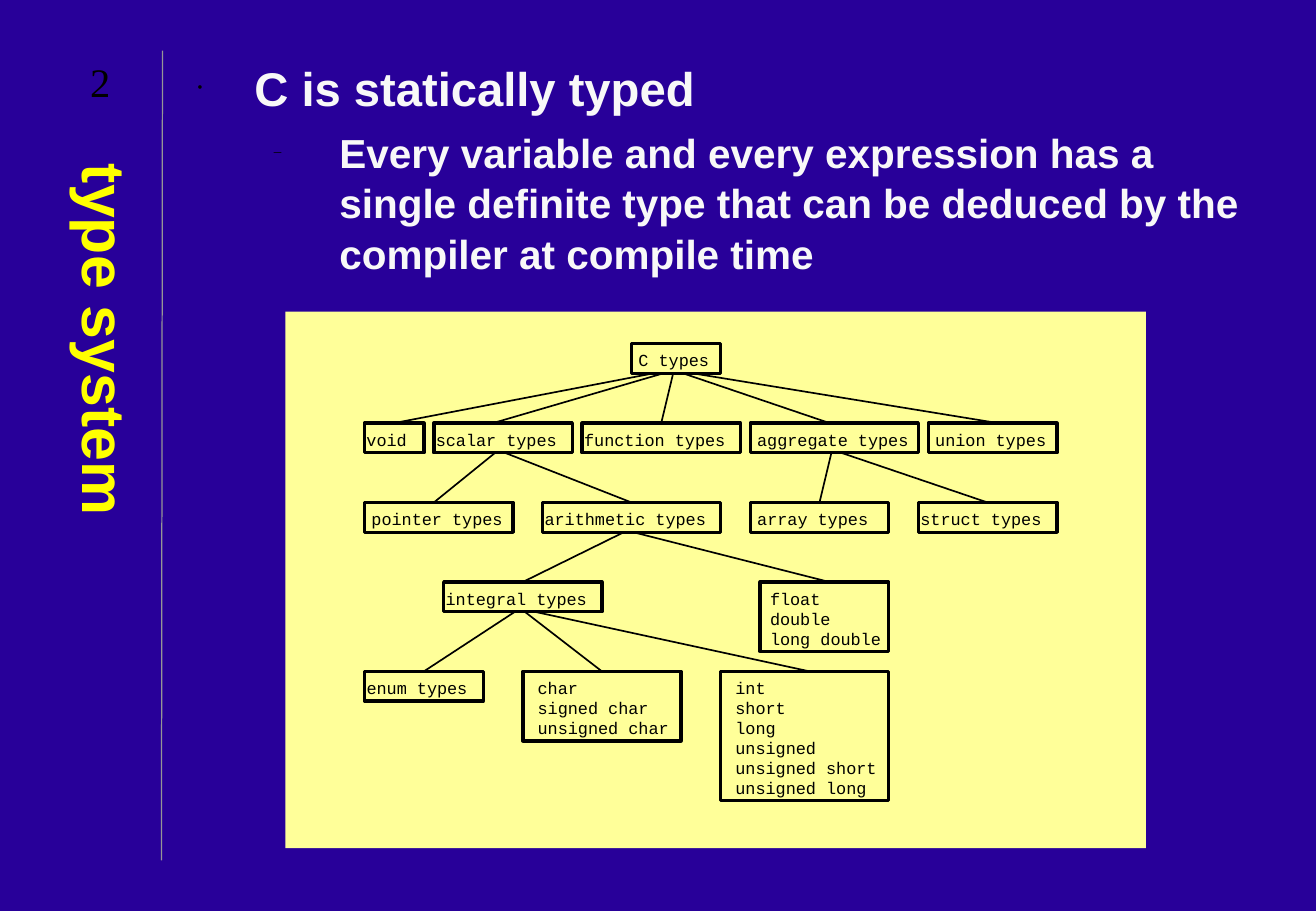
import dataclasses

import lxml.etree
import pptx
import pptx.dml.color
import pptx.enum.shapes
import pptx.enum.text
import pptx.oxml.ns
import pptx.util

SHAPE = pptx.enum.shapes.MSO_SHAPE
ANCHOR = pptx.enum.text.MSO_ANCHOR
ALIGN = pptx.enum.text.PP_ALIGN


@dataclasses.dataclass(frozen=True)
class Theme:
    background: str = "280099"
    panel: str = "FFFF99"
    ink: str = "000000"
    rule: str = "969696"
    title: dict = dataclasses.field(default_factory=lambda: dict(
        name="Arial", size=36, bold=True, color="FFFF00"))
    point: dict = dataclasses.field(default_factory=lambda: dict(
        name="Arial", size=28, bold=True, color="F8F8F8"))
    detail: dict = dataclasses.field(default_factory=lambda: dict(
        name="Arial", size=24, bold=True, color="F8F8F8"))
    code: dict = dataclasses.field(default_factory=lambda: dict(
        name="Courier New", size=10, bold=False, color="000000"))
    number: dict = dataclasses.field(default_factory=lambda: dict(
        name="Times New Roman", size=24, bold=False, color="000000"))


@dataclasses.dataclass(frozen=True)
class Box:
    left: float
    top: float
    width: float
    height: float
    columns: int = 1
    rows: int = 1

    def point(self, column, row):
        return (round(self.left + self.width * column / self.columns),
                round(self.top + self.height * row / self.rows))

    def area(self, column, row, wide, high, columns=1, rows=1):
        left, top = self.point(column, row)
        right, bottom = self.point(column + wide, row + high)
        return Box(left, top, right - left, bottom - top, columns, rows)

    def frame(self):
        return self.left, self.top, self.width, self.height


THEME = Theme()
SLIDE_WIDTH, SLIDE_HEIGHT = pptx.util.Inches(10.84), pptx.util.Inches(7.5)

TITLE = "type system"
POINTS = [
    dict(text="C is statically typed", style=THEME.point, level=0, before=7,
         margin=0.58, indent=-0.47, bullet="•", share=32),
    dict(text="Every variable and every expression has a single definite type "
              "that can be deduced by the compiler at compile time",
         style=THEME.detail, level=1, before=6,
         margin=1.28, indent=-0.54, bullet="–", share=37),
]

LEVEL_ROWS = [3.2, 11.2, 19.2, 27.2, 36.2]
LABEL_ROWS = 2
TYPES = {
    "C types": (0, 35, 9, 0.7, 0),
    "void": (1, 8, 6, 0.2, 11),
    "scalar types": (1, 15, 14, 0.2, 21),
    "function types": (1, 30, 16, 0.2, 38),
    "aggregate types": (1, 47, 17, 0.7, 55),
    "union types": (1, 65, 13, 0.7, 72),
    "pointer types": (2, 8, 15, 0.7, 15),
    "arithmetic types": (2, 26, 18, 0.2, 35),
    "array types": (2, 47, 14, 0.7, 54),
    "struct types": (2, 64, 14, 0.2, 71),
    "integral types": (3, 16, 16, 0.2, 24),
    "float\ndouble\nlong double": (3, 48, 13, 1, 55),
    "enum types": (4, 8, 12, 0.2, 14),
    "char\nsigned char\nunsigned char": (4, 24, 16, 1.5, 32),
    "int\nshort\nlong\nunsigned\nunsigned short\nunsigned long":
        (4, 44, 17, 1.5, 53),
}
FANS = {
    "C types": (37.2, list(TYPES)[1:6]),
    "scalar types": (21.2, list(TYPES)[6:8]),
    "aggregate types": (55.2, list(TYPES)[8:10]),
    "arithmetic types": (34.2, list(TYPES)[10:12]),
    "integral types": (23.2, list(TYPES)[12:]),
}


def rgb(value):
    return pptx.dml.color.RGBColor.from_string(value)


def set_all(target, values):
    for name, value in values.items():
        setattr(target, name, value)


def add_span(para, text, style):
    span = para.add_run()
    span.text = text
    set_all(span.font, dict(name=style["name"], bold=style["bold"],
                            size=pptx.util.Pt(style["size"])))
    span.font.color.rgb = rgb(style["color"])


def set_frame(frame, anchor, insets):
    sides = ("margin_left", "margin_top", "margin_right", "margin_bottom")
    set_all(frame, dict(zip(sides, insets), word_wrap=True, vertical_anchor=anchor))


def add_text(page, box, anchor, insets):
    frame = page.shapes.add_textbox(*box.frame()).text_frame
    set_frame(frame, anchor, [pptx.util.Inches(inset) for inset in insets])
    return frame


def add_line(page, start, end, color, weight):
    line = page.shapes.add_connector(
        pptx.enum.shapes.MSO_CONNECTOR.STRAIGHT, *start, *end)
    line.line.color.rgb = rgb(color)
    line.line.width = pptx.util.Pt(weight)
    lxml.etree.SubElement(line._element.spPr, pptx.oxml.ns.qn("a:effectLst"))


def add_bullet(para, point):
    properties = para._p.get_or_add_pPr()
    properties.set("marL", str(pptx.util.Inches(point["margin"])))
    properties.set("indent", str(pptx.util.Inches(point["indent"])))
    qn = pptx.oxml.ns.qn
    color = lxml.etree.SubElement(properties, qn("a:buClr"))
    lxml.etree.SubElement(color, qn("a:srgbClr"), val=THEME.ink)
    lxml.etree.SubElement(properties, qn("a:buSzPct"), val=str(point["share"] * 1000))
    lxml.etree.SubElement(properties, qn("a:buFont"), typeface=THEME.number["name"])
    lxml.etree.SubElement(properties, qn("a:buChar"), char=point["bullet"])


def draw_title(page, box):
    frame = add_text(page, box, ANCHOR.TOP, (0.05, 0.1, 0.05, 0.1))
    frame._txBody.bodyPr.set("vert", "eaVert")
    para = frame.paragraphs[0]
    set_all(para, dict(alignment=ALIGN.CENTER, line_spacing=1.04))
    add_span(para, TITLE, THEME.title)


def draw_number(page, box):
    frame = add_text(page, box, ANCHOR.MIDDLE, (0.1, 0.05, 0.1, 0.05))
    frame.paragraphs[0].alignment = ALIGN.CENTER
    add_span(frame.paragraphs[0], "2", THEME.number)


def draw_points(page, box):
    frame = add_text(page, box, ANCHOR.TOP, (0.1, 0.05, 0.1, 0.05))
    for index, point in enumerate(POINTS):
        para = frame.add_paragraph() if index else frame.paragraphs[0]
        set_all(para, dict(level=point["level"], line_spacing=1.04,
                           space_before=pptx.util.Pt(point["before"])))
        add_bullet(para, point)
        add_span(para, point["text"], point["style"])


def draw_type(page, panel, label):
    level, column, wide, indent, _ = TYPES[label]
    lines = label.split("\n")
    box = panel.area(column, LEVEL_ROWS[level], wide, LABEL_ROWS * len(lines) + 1)
    shape = page.shapes.add_shape(SHAPE.RECTANGLE, *box.frame())
    shape.shadow.inherit = False
    shape.fill.background()
    shape.line.color.rgb = rgb(THEME.ink)
    shape.line.width = pptx.util.Pt(2)
    cell_width, cell_height = panel.area(0, 0, 1, 1).frame()[2:]
    frame = shape.text_frame
    set_frame(frame, ANCHOR.TOP, (round(cell_width * indent), round(cell_height * 0.7), 0, 0))
    frame.word_wrap = False
    for index, line in enumerate(lines):
        para = frame.add_paragraph() if index else frame.paragraphs[0]
        set_all(para, dict(alignment=ALIGN.LEFT,
                           line_spacing=pptx.util.Emu(cell_height * LABEL_ROWS)))
        add_span(para, line, THEME.code)


def draw_tree(page, panel):
    back = page.shapes.add_shape(SHAPE.RECTANGLE, *panel.frame())
    back.shadow.inherit = False
    back.fill.solid()
    back.fill.fore_color.rgb = rgb(THEME.panel)
    back.line.fill.background()
    for label in TYPES:
        draw_type(page, panel, label)
    for parent, (first, children) in FANS.items():
        bottom = LEVEL_ROWS[TYPES[parent][0]] + LABEL_ROWS + 1
        for step, child in enumerate(children):
            level, entry = TYPES[child][0], TYPES[child][-1]
            add_line(page, panel.point(first + step, bottom),
                     panel.point(entry, LEVEL_ROWS[level]), THEME.ink, 1)


def main():
    deck = pptx.Presentation()
    set_all(deck, dict(slide_width=SLIDE_WIDTH, slide_height=SLIDE_HEIGHT))
    page = deck.slides.add_slide(deck.slide_layouts[6])
    page.background.fill.solid()
    page.background.fill.fore_color.rgb = rgb(THEME.background)
    grid = Box(0, 0, SLIDE_WIDTH, SLIDE_HEIGHT, columns=130, rows=90)
    add_line(page, grid.point(15.95, 85), grid.point(16.05, 5), THEME.rule, 0.75)
    draw_tree(page, grid.area(28.2, 30.8, 85, 53, columns=87, rows=54))
    draw_title(page, grid.area(4, 15, 11, 70))
    draw_points(page, grid.area(17, 5, 107, 80))
    draw_number(page, grid.area(5, 5, 9.8, 6))
    deck.save("out.pptx")


if __name__ == "__main__":
    main()
